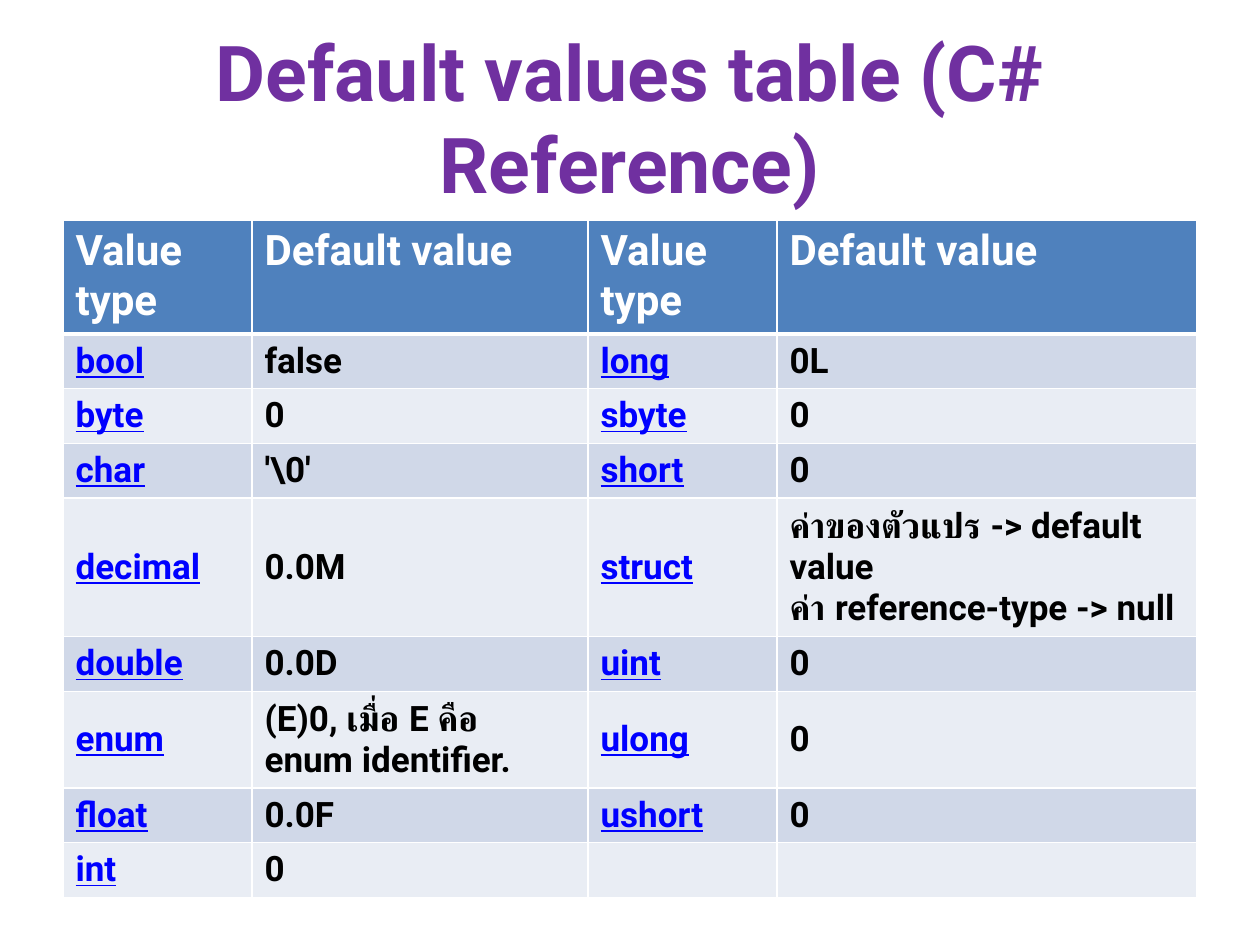
from lxml import etree
from pptx import Presentation
from pptx.dml.color import RGBColor
from pptx.enum import text
from pptx.oxml import ns
from pptx.util import Pt

FONT = "Roboto"
HEADER = ("Value type", "Default value") * 2
VALUES = [
    ("bool", "false", "long", "0L"),
    ("byte", "0", "sbyte", "0"),
    ("char", r"'\0'", "short", "0"),
    ("decimal", "0.0M", "struct",
     "ค่าของตัวแปร -> default value\nค่า reference-type -> null"),
    ("double", "0.0D", "uint", "0"),
    ("enum", "(E)0, เมื่อ E คือ enum identifier.", "ulong", "0"),
    ("float", "0.0F", "ushort", "0"),
    ("int", "0", "", ""),
]
HEADER_FORMAT = {"size": Pt(24), "color": "FFFFFF"}
TYPE_FORMAT = {"size": Pt(20), "color": "0000FF", "underline": True}
VALUE_FORMAT = {"size": Pt(20), "color": "000000"}


def rgb(value):
    return RGBColor.from_string(value)


def write(frame, content, formats, align=text.PP_ALIGN.LEFT):
    frame.text = content
    for paragraph in frame.paragraphs:
        paragraph.alignment = align
        for run in paragraph.runs:
            for key, value in {"name": FONT, "bold": True, **formats}.items():
                if key == "color":
                    run.font.color.rgb = rgb(value)
                else:
                    setattr(run.font, key, value)


def set_borders(cell, color, widths):
    properties = cell._tc.get_or_add_tcPr()
    for index, (side, width) in enumerate(widths.items()):
        line = etree.Element(ns.qn(f"a:ln{side}"), w=str(int(Pt(width))))
        fill = etree.SubElement(line, ns.qn("a:solidFill"))
        etree.SubElement(fill, ns.qn("a:srgbClr"), val=color)
        properties.insert(index, line)


def add_title(slide, content, left, top, width, height):
    frame = slide.shapes.add_textbox(left, top, width, height).text_frame
    frame.word_wrap = True
    frame.vertical_anchor = text.MSO_ANCHOR.MIDDLE
    write(frame, content, {"size": Pt(44), "color": "7030A0"},
          text.PP_ALIGN.CENTER)


def add_defaults_table(slide, left, top, width, row_height):
    rows = [HEADER, *VALUES]
    defaults = slide.shapes.add_table(
        len(rows), len(HEADER), left, top, width, row_height * len(rows)).table

    # Column widths as shares of the table width
    for column, share in zip(defaults.columns, (18, 32, 18, 40)):
        column.width = int(width * share / 108)

    for r, row in enumerate(rows):
        fill = "4F81BD" if r == 0 else ("E9EDF4", "D0D8E8")[r % 2]
        # A thick rule separates the header from the values
        widths = {"L": 1, "R": 1, "T": 3 if r == 1 else 1, "B": 1 if r else 3}
        for c, content in enumerate(row):
            cell = defaults.cell(r, c)
            cell.fill.solid()
            cell.fill.fore_color.rgb = rgb(fill)
            set_borders(cell, "FFFFFF", widths)
            if r:
                cell.vertical_anchor = text.MSO_ANCHOR.MIDDLE
            formats = (TYPE_FORMAT, VALUE_FORMAT)[c % 2] if r else HEADER_FORMAT
            write(cell.text_frame, content, formats)


deck = Presentation()
deck.slide_width, deck.slide_height = Pt(720), Pt(540)
slide = deck.slides.add_slide(deck.slide_layouts[6])
add_title(slide, "Default values table (C# Reference)",
          Pt(36), Pt(21.6), Pt(648), Pt(90))
add_defaults_table(slide, Pt(36), Pt(126), Pt(648), Pt(29.2))
deck.save("out.pptx")
